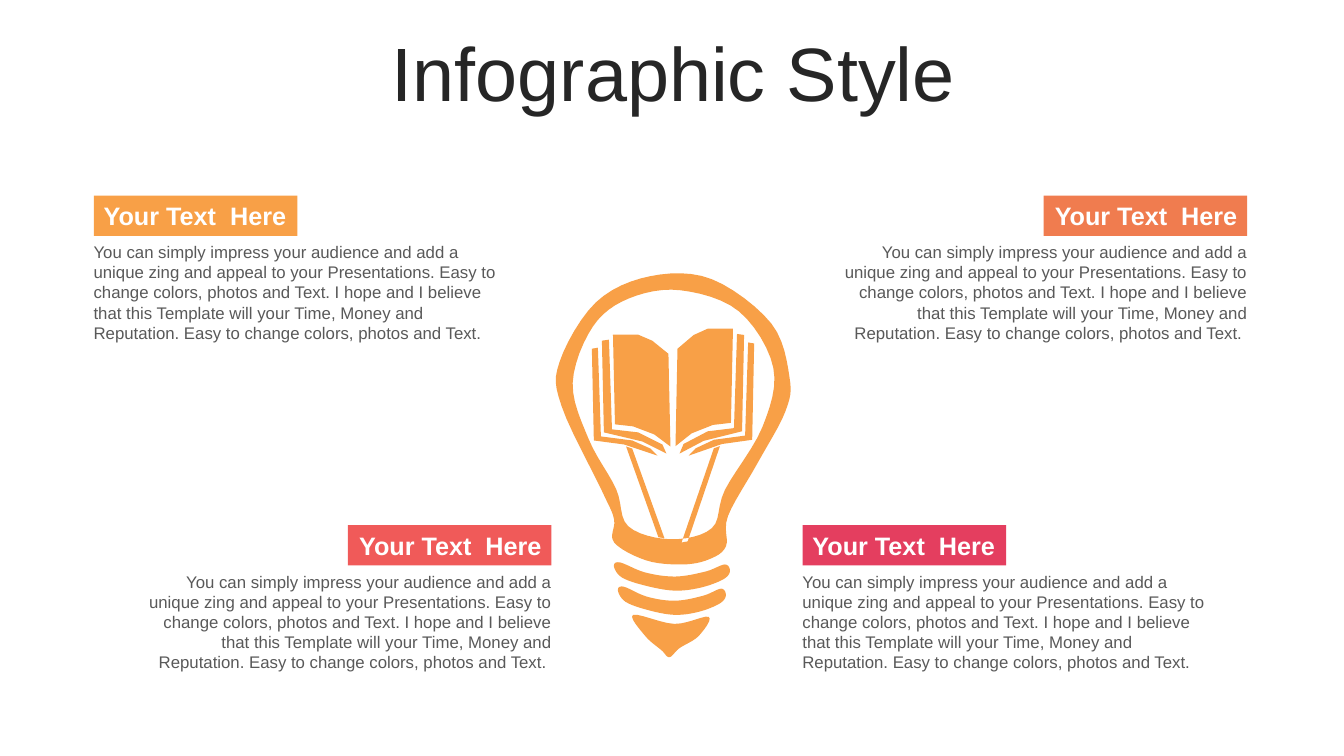
from pptx import Presentation
from pptx import util as u
from pptx.dml import color
from pptx.enum import shapes, text

CELL = u.Inches(0.01)
COLUMNS, ROWS = 1333, 750
ORANGE = "F8A047"
STEPS = 6


def paint(target, shade):
    if hasattr(target, "solid"):
        target.solid()
        target = target.fore_color
    else:
        target = target.color
    target.rgb = color.RGBColor.from_string(shade)


def write(box, words, align, shade, font, frame):
    for name, value in frame.items():
        setattr(box.text_frame, name, value)
    para = box.text_frame.paragraphs[0]
    para.alignment = align
    span = para.add_run()
    span.text = words
    for name, value in font.items():
        setattr(span.font, name, value)
    paint(span.font, shade)
    return para


deck = Presentation()
deck.slide_width, deck.slide_height = CELL * COLUMNS, CELL * ROWS
page = deck.slides.add_slide(deck.slide_layouts[6])

title = page.shapes.add_textbox(*[CELL * n for n in (35, 37, 1266, 79)])
heading = write(title, "Infographic Style", text.PP_ALIGN.CENTER, "262626",
                {"size": u.Pt(54), "name": "Arial"},
                {"word_wrap": True, "vertical_anchor": text.MSO_ANCHOR.MIDDLE})
heading.line_spacing = 0.9
heading.space_before = u.Pt(10)

ring = [(609, 562), (615, 558), (640, 568), (670, 572), (700, 567), (719, 560), (724, 567),
        (717, 575), (695, 583), (669, 586), (640, 581), (617, 573)]
lower_ring = [(666 + (x - 666) * 0.93, y + 24) for x, y in ring]
tip = [(628, 610), (669, 619), (703, 612), (693, 631), (674, 643), (664, 652), (656, 645),
       (640, 631)]
glass = [(783, 374), (765, 321), (706, 277), (645, 274), (591, 300), (555, 359), (557, 403),
         (597, 487), (609, 515), (609, 538), (641, 556), (677, 560), (703, 555), (720, 542),
         (722, 512), (751, 460), (779, 408)]
opening = [(756, 424), (719, 486), (706, 524), (665, 535), (623, 522), (611, 485), (584, 436),
           (568, 380), (588, 324), (624, 296), (675, 288), (733, 309), (767, 365)]
inner_page = [(608, 332), (633, 332), (647, 338), (663, 351), (665, 443), (649, 431),
              (628, 423), (610, 421)]
middle_page = [(597, 338), (604, 337), (607, 426), (633, 429), (657, 441), (661, 450),
               (637, 438), (599, 429)]
outer_page = [(587, 346), (593, 345), (596, 433), (627, 437), (645, 445), (652, 452),
              (619, 441), (589, 437)]
filament = [(621, 443), (627, 445), (659, 534), (653, 533)]

smooth = []
for outline in (ring, tip, lower_ring, glass, opening):
    curve = []
    for i in range(len(outline)):
        near = [outline[(i + shift) % len(outline)] for shift in (-1, 0, 1, 2)]
        for step in range(STEPS):
            t = step / STEPS
            weights = (-t + 2 * t**2 - t**3, 2 - 5 * t**2 + 3 * t**3,
                       t + 4 * t**2 - 3 * t**3, t**3 - t**2)
            curve.append([sum(w * knot[axis] for w, knot in zip(weights, near)) / 2
                          for axis in (0, 1)])
    smooth.append(curve)

left_half = [inner_page, middle_page, outer_page, filament]
right_half = [[(1335 - x, y - (450 - y) * 0.05) for x, y in half] for half in left_half]
bulb = [[outline] for outline in smooth[:3]]
bulb.append(smooth[3:] + left_half[2:] + right_half[2:])
bulb += [[outline] for outline in right_half[:2] + left_half[:2]]

for contours in bulb:
    builder = None
    for contour in contours:
        points = [(CELL * x, CELL * y) for x, y in contour]
        if builder is None:
            builder = page.shapes.build_freeform(*points[0])
        else:
            builder.move_to(*points[0])
        builder.add_line_segments(points[1:], close=True)
    part = builder.convert_to_shape()
    part.shadow.inherit = False
    paint(part.fill, ORANGE)
    part.line.fill.background()

BODY = ("You can simply impress your audience and add a unique zing and appeal to your "
        "Presentations. Easy to change colors, photos and Text. I hope and I believe that this "
        "Template will your Time, Money and Reputation. Easy to change colors, photos and Text.")
LABEL_WIDTH, LABEL_HEIGHT, BODY_WIDTH, BODY_HEIGHT, INSET = 202, 40, 425, 111, 10
LEFT, RIGHT = text.PP_ALIGN.LEFT, text.PP_ALIGN.RIGHT
FRAME = {"word_wrap": True, "auto_size": text.MSO_AUTO_SIZE.SHAPE_TO_FIT_TEXT,
         "vertical_anchor": text.MSO_ANCHOR.TOP}

for edge, top, align, shade in ((1237, 194, RIGHT, "F07C4F"), (93, 194, LEFT, ORANGE),
                                (547, 521, RIGHT, "F05A59"), (796, 521, LEFT, "E43E5F")):
    label_left, body_left, ending = edge, edge - INSET, ""
    if align == RIGHT:
        label_left, body_left, ending = edge - LABEL_WIDTH, edge + INSET - BODY_WIDTH, " "
    label = page.shapes.add_shape(
        shapes.MSO_SHAPE.RECTANGLE,
        *[CELL * n for n in (label_left, top, LABEL_WIDTH, LABEL_HEIGHT)])
    label.shadow.inherit = False
    paint(label.fill, shade)
    label.line.fill.background()
    write(label, "Your Text  Here", align, "FFFFFF",
          {"size": u.Pt(18), "name": "Arial", "bold": True}, FRAME)
    body = page.shapes.add_textbox(
        *[CELL * n for n in (body_left, top + LABEL_HEIGHT + 1, BODY_WIDTH, BODY_HEIGHT)])
    write(body, BODY + ending, align, "595959", {"size": u.Pt(12), "name": "Arial"}, FRAME)

deck.save("out.pptx")
